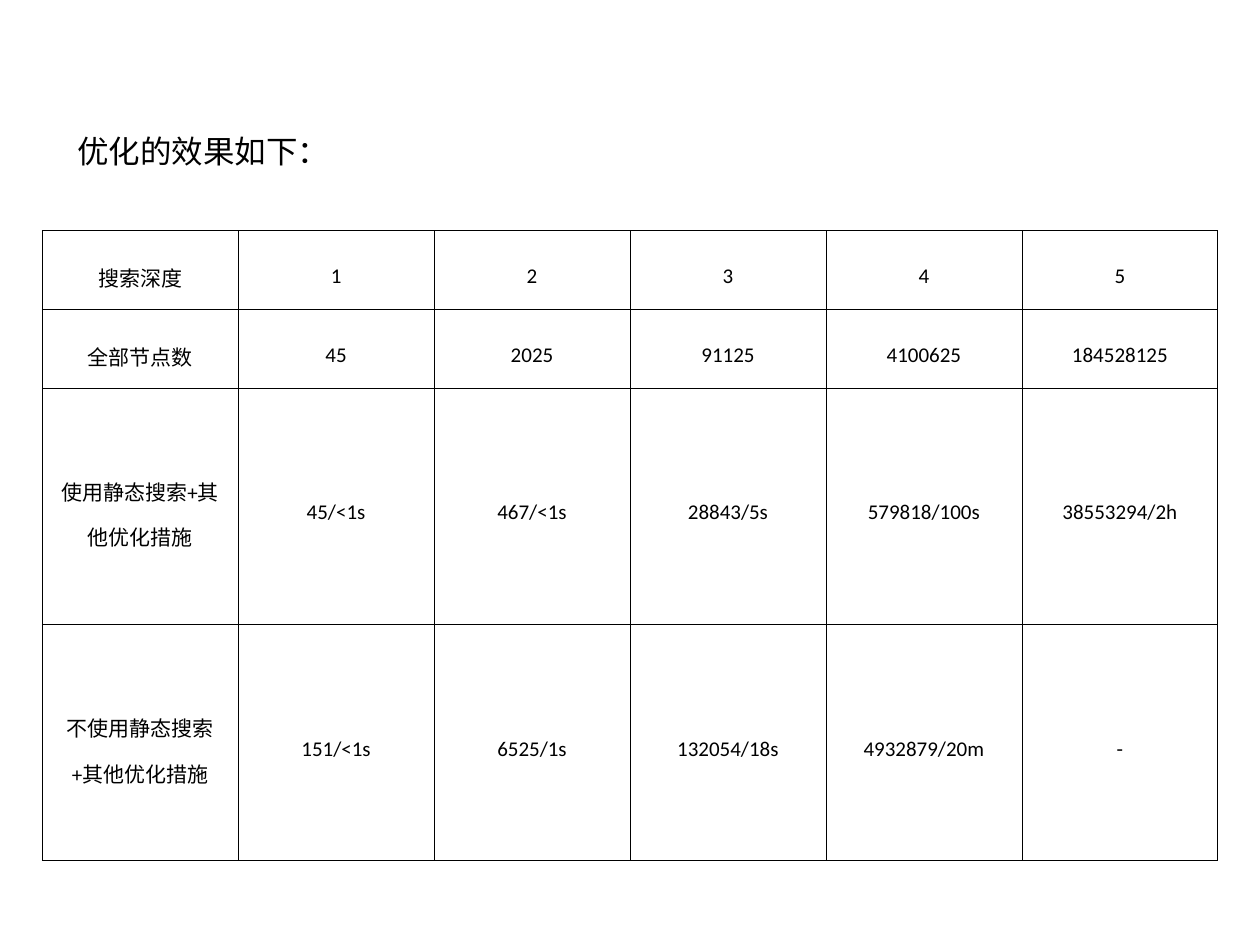
from lxml import etree
from pptx import Presentation
from pptx.dml.color import RGBColor
from pptx.enum.text import MSO_ANCHOR, MSO_AUTO_SIZE, PP_ALIGN
from pptx.oxml.ns import qn
from pptx.util import Cm, Pt

LEFT, CENTER = PP_ALIGN.LEFT, PP_ALIGN.CENTER
TOP, MIDDLE = MSO_ANCHOR.TOP, MSO_ANCHOR.MIDDLE
FIT_SHAPE = MSO_AUTO_SIZE.SHAPE_TO_FIT_TEXT
BLACK = "000000"
TITLE_ONLY = 5

RESULTS = [
    ["搜索深度", "1", "2", "3", "4", "5"],
    ["全部节点数", "45", "2025", "91125", "4100625", "184528125"],
    ["使用静态搜索+其他优化措施", "45/<1s", "467/<1s", "28843/5s",
     "579818/100s", "38553294/2h"],
    ["不使用静态搜索+其他优化措施", "151/<1s", "6525/1s", "132054/18s",
     "4932879/20m", "-"],
]
ROW_SHARES = [1, 1, 3, 3]


def color(value):
    return RGBColor.from_string(value)


def format_paragraph(paragraph, font_name, size, alignment, line_spacing):
    paragraph.alignment = alignment
    paragraph.line_spacing = line_spacing
    paragraph.font.name = font_name
    paragraph.font.size = Pt(size)
    paragraph.font.color.rgb = color(BLACK)


def set_borders(cell, value, width):
    properties = cell._tc.get_or_add_tcPr()
    for side in ("lnL", "lnR", "lnT", "lnB"):
        line = etree.SubElement(properties, qn(f"a:{side}"), w=str(Pt(width)))
        fill = etree.SubElement(line, qn("a:solidFill"))
        etree.SubElement(fill, qn("a:srgbClr"), val=value)


def place_title(slide, left, top, width, height):
    title = slide.shapes.title
    title.left, title.top, title.width, title.height = left, top, width, height
    frame = title.text_frame
    frame.text = "优化的效果如下："
    frame.word_wrap = False
    frame.auto_size = FIT_SHAPE
    frame.vertical_anchor = TOP
    format_paragraph(frame.paragraphs[0], "Arial", 18, LEFT, 1.0)


def format_cell(cell, text):
    cell.text = text
    cell.vertical_anchor = MIDDLE
    cell.margin_left = cell.margin_right = Cm(0.2)
    cell.margin_top = cell.margin_bottom = Cm(0.13)
    set_borders(cell, BLACK, 0.45)
    cell.fill.background()
    format_paragraph(cell.text_frame.paragraphs[0], "Calibri", 12, CENTER, 1.5)


def place_results(slide, left, top, width, height):
    table = slide.shapes.add_table(
        len(RESULTS), len(RESULTS[0]), left, top, width, height).table
    table.first_row = False
    table.horz_banding = False
    for row, share in zip(table.rows, ROW_SHARES):
        row.height = height * share // sum(ROW_SHARES)
    for row, texts in zip(table.rows, RESULTS):
        for cell, text in zip(row.cells, texts):
            format_cell(cell, text)


def main():
    presentation = Presentation()
    presentation.slide_width = Cm(25.4)
    presentation.slide_height = Cm(19.05)
    slide = presentation.slides.add_slide(presentation.slide_layouts[TITLE_ONLY])
    place_title(slide, Cm(1.3), Cm(2.54), Cm(5.6), Cm(1.02))
    place_results(slide, Cm(0.85), Cm(4.65), Cm(23.7), Cm(12.7))
    presentation.save("out.pptx")


if __name__ == "__main__":
    main()
